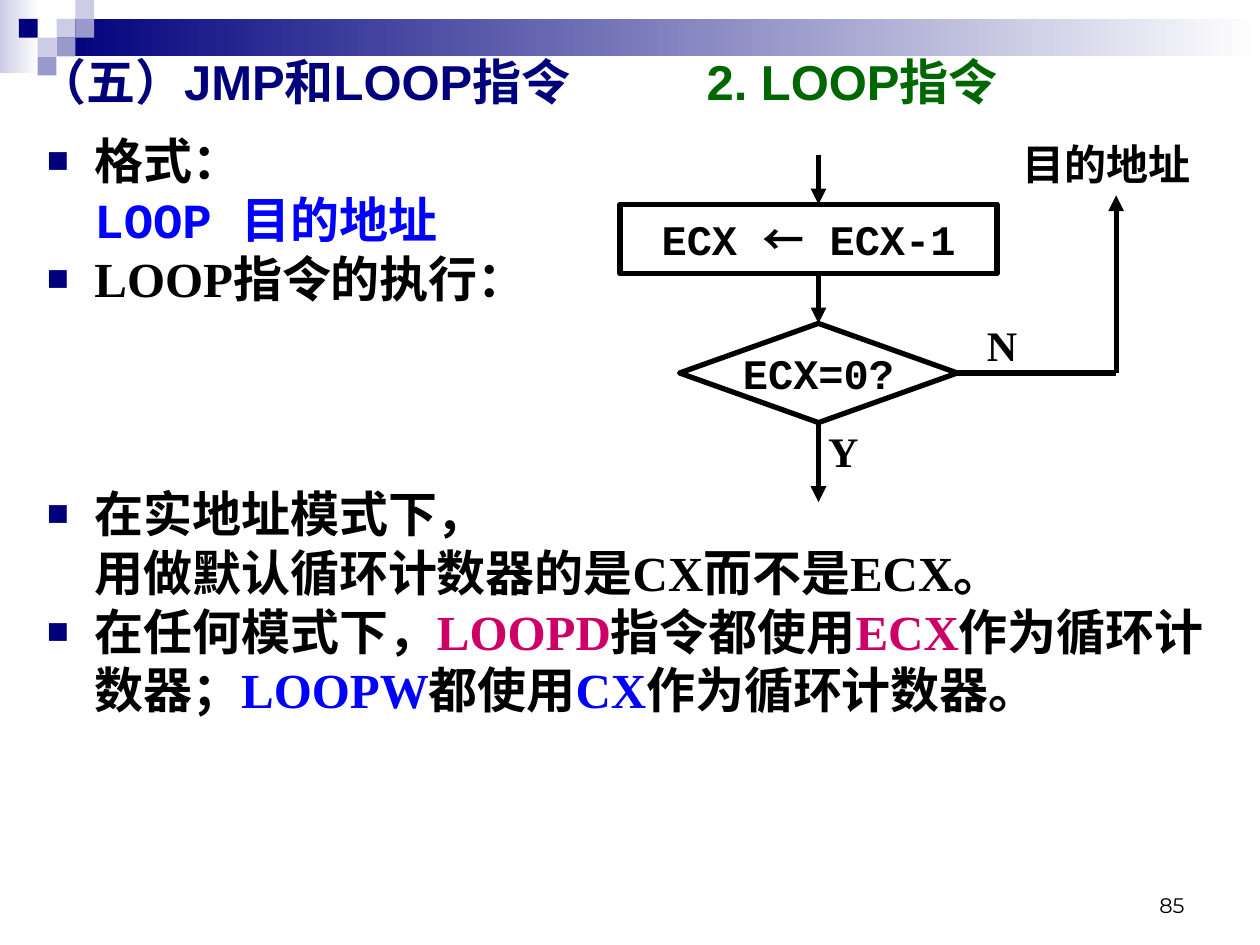
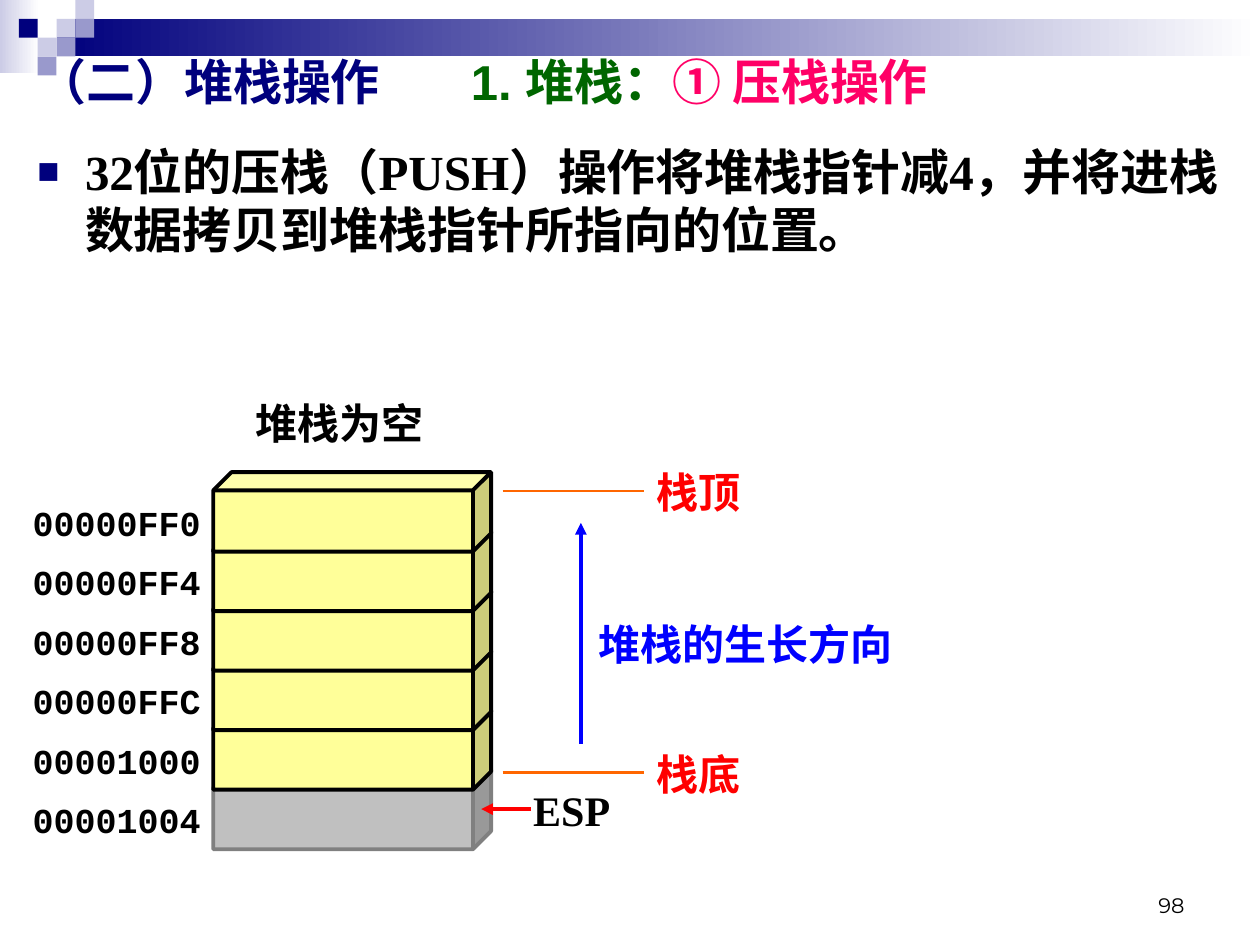
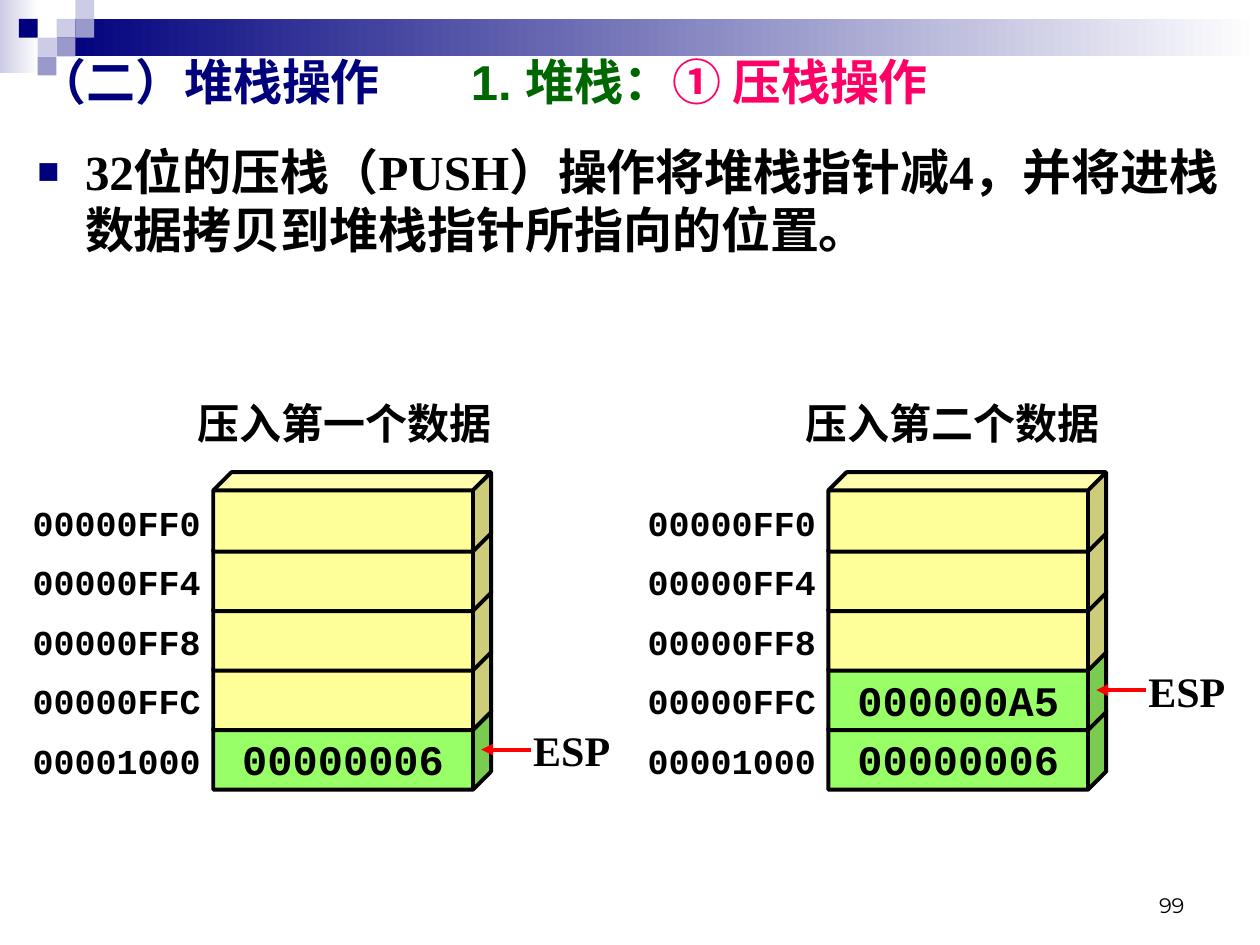
import pptx
import pptx.dml.color
import pptx.enum.shapes
import pptx.enum.text
import pptx.oxml
import pptx.oxml.ns
import pptx.util
from lxml import etree

Cm, Pt = pptx.util.Cm, pptx.util.Pt
MSO = pptx.enum.shapes.MSO_SHAPE
ALIGN = pptx.enum.text.PP_ALIGN
ANCHOR = pptx.enum.text.MSO_ANCHOR
qn = pptx.oxml.ns.qn

COLORS = {
    "navy": "00007D", "lilac": "9999CC", "pale": "CCCCE6", "white": "FFFFFF",
    "black": "000000", "blue": "0000FF", "green": "006600", "pink": "FF0066",
    "magenta": "CC0066", "red": "FF0000", "orange": "FF6600", "gray": "808080",
    "free": "FFFF99", "used": "99FF66", "outside": "C0C0C0",
}
SERIF, MONO, SANS, CJK = "Times New Roman", "Courier New", "Arial", "Noto Sans CJK SC"
NUMBER_FONT = "Montserrat"
LINE_PITCH = 33.6
ROW_PITCH = 1.2
FIRST_ADDRESS = 0xFF0


def rgb(name):
    """Return the named colour."""
    return pptx.dml.color.RGBColor.from_string(COLORS[name])


def add_xml(parent, tag, **attrs):
    """Append a DrawingML element and return it."""
    return etree.SubElement(parent, qn(tag), **attrs)


def write(p, runs, size, font=SERIF, color="black", bold=True, align=ALIGN.LEFT):
    """Fill a paragraph with (text, colour, font) runs that override its font."""
    p.alignment = align
    p.font.size, p.font.name, p.font.bold = Pt(size), font, bold
    p.font.color.rgb = rgb(color)
    for text, run_color, run_font in runs:
        if text == "\n":
            p.add_line_break()
            continue
        r = p.add_run()
        r.text = text
        if run_color:
            r.font.color.rgb = rgb(run_color)
        if run_font:
            r.font.name = run_font


def plain(text):
    """Return a run that keeps the paragraph font."""
    return text, None, None


def tint(text, color):
    """Return a run in another colour."""
    return text, color, None


def label(s, x, y, w, h, text, size=24, anchor=ANCHOR.MIDDLE, **style):
    """Add a one-line text box."""
    tf = s.shapes.add_textbox(Cm(x), Cm(y), Cm(w), Cm(h)).text_frame
    tf.word_wrap = True
    tf.vertical_anchor = anchor
    write(tf.paragraphs[0], [plain(text)], size, **style)


def line(s, x1, y1, x2, y2, color, width, arrow=True):
    """Add a straight line, with an arrowhead at its end if wanted."""
    c = s.shapes.add_connector(pptx.enum.shapes.MSO_CONNECTOR.STRAIGHT,
                               Cm(x1), Cm(y1), Cm(x2), Cm(y2))
    c.line.color.rgb = rgb(color)
    c.line.width = Pt(width)
    if arrow:
        add_xml(c.element.spPr.find(qn("a:ln")), "a:tailEnd", type="triangle")
    add_xml(c.element.spPr, "a:effectLst")


def outlined(s, kind, x, y, w, h, runs=(), fill=None, color="black", width=3):
    """Add an outlined shape with centred text."""
    sp = s.shapes.add_shape(kind, Cm(x), Cm(y), Cm(w), Cm(h))
    sp.shadow.inherit = False
    if fill:
        sp.fill.solid()
        sp.fill.fore_color.rgb = rgb(fill)
    else:
        sp.fill.background()
    sp.line.color.rgb = rgb(color)
    sp.line.width = Pt(width)
    if runs:
        tf = sp.text_frame
        tf.word_wrap = False
        tf.vertical_anchor = ANCHOR.MIDDLE
        write(tf.paragraphs[0], runs, 24, font=MONO, align=ALIGN.CENTER)
    return sp


def band(s, layout):
    """Build the gradient band and its squares and move them to the layout."""
    group = s.shapes.add_group_shape()

    def block(x, y, w, h, color, fade=False):
        """Add one borderless block."""
        sp = group.shapes.add_shape(MSO.RECTANGLE, Cm(x), Cm(y), Cm(w), Cm(h))
        sp.shadow.inherit = False
        sp.line.fill.background()
        if fade:
            sp.fill.gradient()
            sp.fill.gradient_angle = 0
            for stop, name in zip(sp.fill.gradient_stops, (color, "white")):
                stop.color.rgb = rgb(name)
        else:
            sp.fill.solid()
            sp.fill.fore_color.rgb = rgb(color)

    cell = 0.38
    block(0, 0, 0.79, 1.47, "pale", fade=True)
    block(3 * cell, cell, 25.4 - 3 * cell, 2 * cell, "navy", fade=True)
    squares = [(3, 1, "pale"), (4, 0, "pale"), (4, 1, "lilac"), (2, 2, "pale"),
               (1, 1, "navy"), (3, 2, "lilac"), (2, 3, "lilac")]
    for column, row, color in squares:
        block(column * cell, row * cell, cell, cell, color)
    layout.element.cSld.spTree.insert(2, group.element)


def place(sp, x, y, w, h):
    """Move a placeholder and return its cleared text frame."""
    sp.left, sp.top, sp.width, sp.height = Cm(x), Cm(y), Cm(w), Cm(h)
    tf = sp.text_frame
    tf.word_wrap = True
    tf.auto_size = pptx.enum.text.MSO_AUTO_SIZE.NONE
    tf.vertical_anchor = ANCHOR.TOP
    return tf


def heading(s, runs, tab):
    """Write the title, with a tab stop before its second part."""
    p = place(s.shapes.title, 0.5, 0.91, 24.4, 1.6).paragraphs[0]
    tabs = add_xml(p._p.get_or_add_pPr(), "a:tabLst")
    add_xml(tabs, "a:tab", pos=str(Cm(tab)), algn="l")
    p.line_spacing = Pt(LINE_PITCH)
    write(p, runs, 28, font=SANS, color="navy")


def bullets(s, box, items):
    """Write the body list from (runs, font, blank lines above) items."""
    tf = place(s.placeholders[1], *box)
    for i, (runs, font, gap) in enumerate(items):
        p = tf.add_paragraph() if i else tf.paragraphs[0]
        pPr = p._p.get_or_add_pPr()
        pPr.set("marL", str(Cm(0.96)))
        pPr.set("indent", str(-Cm(0.96)))
        add_xml(add_xml(pPr, "a:buClr"), "a:srgbClr", val=COLORS["navy"])
        add_xml(pPr, "a:buSzPct", val="75000")
        add_xml(pPr, "a:buFont", typeface=SANS)
        add_xml(pPr, "a:buChar", char="■")
        p.line_spacing = Pt(LINE_PITCH)
        p.space_before = Pt(gap * LINE_PITCH)
        write(p, runs, 28, font=font)


def page_number(s, number):
    """Write the page number at the bottom right."""
    label(s, 18.2, 17.35, 5.93, 1.27, str(number), size=12, anchor=ANCHOR.BOTTOM,
          font=NUMBER_FONT, bold=False, align=ALIGN.RIGHT)


def flowchart(s, x, y):
    """Draw the flow of the LOOP instruction."""
    axis = x + 4
    outlined(s, MSO.FLOWCHART_PROCESS, x, y + 1, 7.6, 1.4,
             [plain("ECX "), ("←", None, CJK), plain(" ECX-1")])
    outlined(s, MSO.FLOWCHART_DECISION, x + 1.2, y + 3.4, 5.6, 2, [plain("ECX=0?")])
    for top, bottom in [(0, 1), (2.4, 3.4), (5.4, 7)]:
        line(s, axis, y + top, axis, y + bottom, "black", 3)
    line(s, x + 6.8, y + 4.4, x + 10, y + 4.4, "black", 3, arrow=False)
    line(s, x + 10, y + 4.4, x + 10, y + 0.82, "black", 3)
    for dx, dy, w, text in [(7, 3.2, 1.4, "N"), (3.8, 5.34, 1.4, "Y"),
                            (7.8, -0.45, 4, "目的地址")]:
        label(s, x + dx, y + dy, w, 1.27, text, align=ALIGN.CENTER)


def stack(s, x, y, caption, caption_dx, cells, esp_row):
    """Draw a stack of (state, value) cells with addresses and the ESP pointer."""
    label(s, x + caption_dx, y - 1.6, 6.9, ROW_PITCH, caption)
    for row, (state, value) in reversed(list(enumerate(cells))):
        top = y + row * ROW_PITCH
        cube = outlined(s, MSO.CUBE, x + 4, top, 5.6, 1.6,
                        [plain(value)] if value else [], fill=state,
                        color="gray" if state == "outside" else "black", width=2.25)
        cube.adjustments[0] = 0.229
        label(s, x, top + 0.41, 4, ROW_PITCH, f"{FIRST_ADDRESS + 4 * row:08X}",
              size=20, font=MONO, align=ALIGN.RIGHT)
    top = y + esp_row * ROW_PITCH
    line(s, x + 10.4, top + 0.79, x + 9.4, top + 0.79, "red", 2.25)
    label(s, x + 10.2, top + 0.2, 2.2, ROW_PITCH, "ESP")


def growth(s, x, y):
    """Mark the top, the bottom and the growth direction of the stack."""
    for dy, text in [(0, "栈顶"), (5.67, "栈底")]:
        line(s, x, y + dy, x + 2.85, y + dy, "orange", 1.5, arrow=False)
        label(s, x + 2.85, y + dy - 0.58, 3.05, ROW_PITCH, text, color="red")
    line(s, x + 1.58, y + 5.09, x + 1.58, y + 0.64, "blue", 2.25)
    label(s, x + 1.68, y + 2.47, 6.6, ROW_PITCH, "堆栈的生长方向", color="blue")


def loop_slide(s):
    """Fill the slide on the LOOP instruction."""
    heading(s, [plain("（五）JMP和LOOP指令\t"), tint("2. LOOP指令", "green")], 13.49)
    bullets(s, (0.69, 2.51, 24.2, 16.2), [
        ([plain("格式："), plain("\n"), tint("LOOP 目的地址", "blue")], MONO, 0),
        ([plain("LOOP指令的执行：")], SERIF, 0),
        ([plain("在实地址模式下，"), plain("\n"),
          plain("用做默认循环计数器的是CX而不是ECX。")], SERIF, 3),
        ([plain("在任何模式下，"), tint("LOOPD", "magenta"), plain("指令都使用"),
          tint("ECX", "magenta"), plain("作为循环计数器；"), tint("LOOPW", "blue"),
          plain("都使用"), tint("CX", "blue"), plain("作为循环计数器。")], SERIF, 0),
    ])
    flowchart(s, 12.5, 3.12)
    page_number(s, 85)


def push_slide(s, number, stacks):
    """Fill a slide on the push operation with its stacks."""
    heading(s, [plain("（二）堆栈操作\t"), tint("1. 堆栈：", "green"),
                tint("① 压栈操作", "pink")], 8.74)
    bullets(s, (0.5, 2.72, 24.4, 4.6), [
        ([plain("32位的压栈（PUSH）操作将堆栈指针减4，"
                "并将进栈数据拷贝到堆栈指针所指向的位置。")], SERIF, 0)])
    for i, details in enumerate(stacks):
        stack(s, 0.3 + 12.4 * i, 9.52, *details)
    page_number(s, number)


def main():
    """Build and save the presentation."""
    prs = pptx.Presentation()
    prs.slide_width, prs.slide_height = Cm(25.4), Cm(19.05)
    for root in (prs.element, prs.slide_master.element):
        for ea in root.iter(qn("a:ea")):
            ea.set("typeface", CJK)
    layout = prs.slide_layouts[1]
    for sp in list(layout.placeholders)[2:]:
        sp.element.getparent().remove(sp.element)
    loop, empty, pushed = [prs.slides.add_slide(layout) for _ in range(3)]
    band(loop, layout)

    loop_slide(loop)
    free, first, second = ("free", ""), ("used", "00000006"), ("used", "000000A5")
    push_slide(empty, 98, [("堆栈为空", 4.6, [free] * 5 + [("outside", "")], 5)])
    growth(empty, 10.13, 9.9)
    push_slide(pushed, 99, [
        ("压入第一个数据", 3.43, [free] * 4 + [first], 4),
        ("压入第二个数据", 3.28, [free] * 3 + [second, first], 3)])
    prs.save("out.pptx")


if __name__ == "__main__":
    main()
